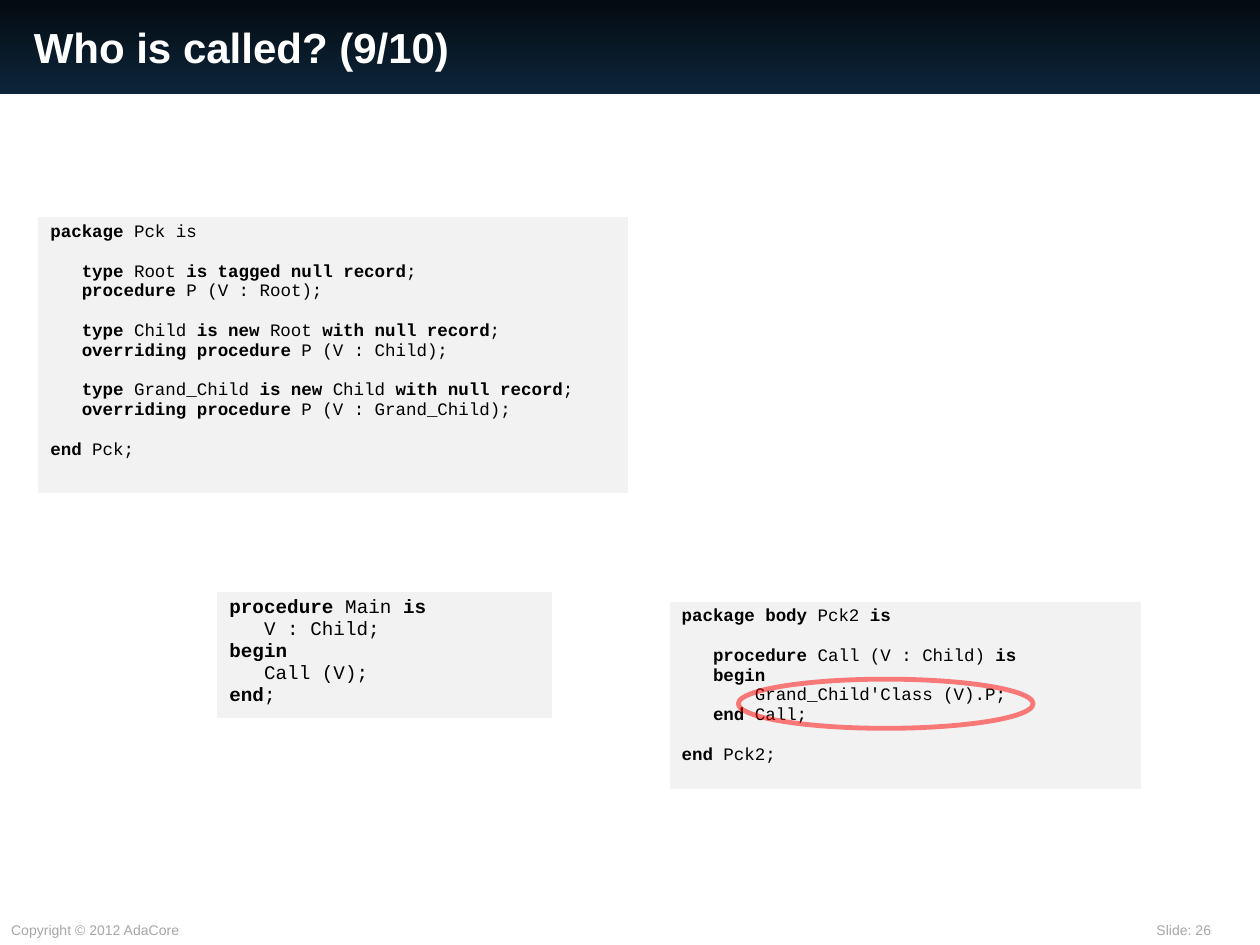
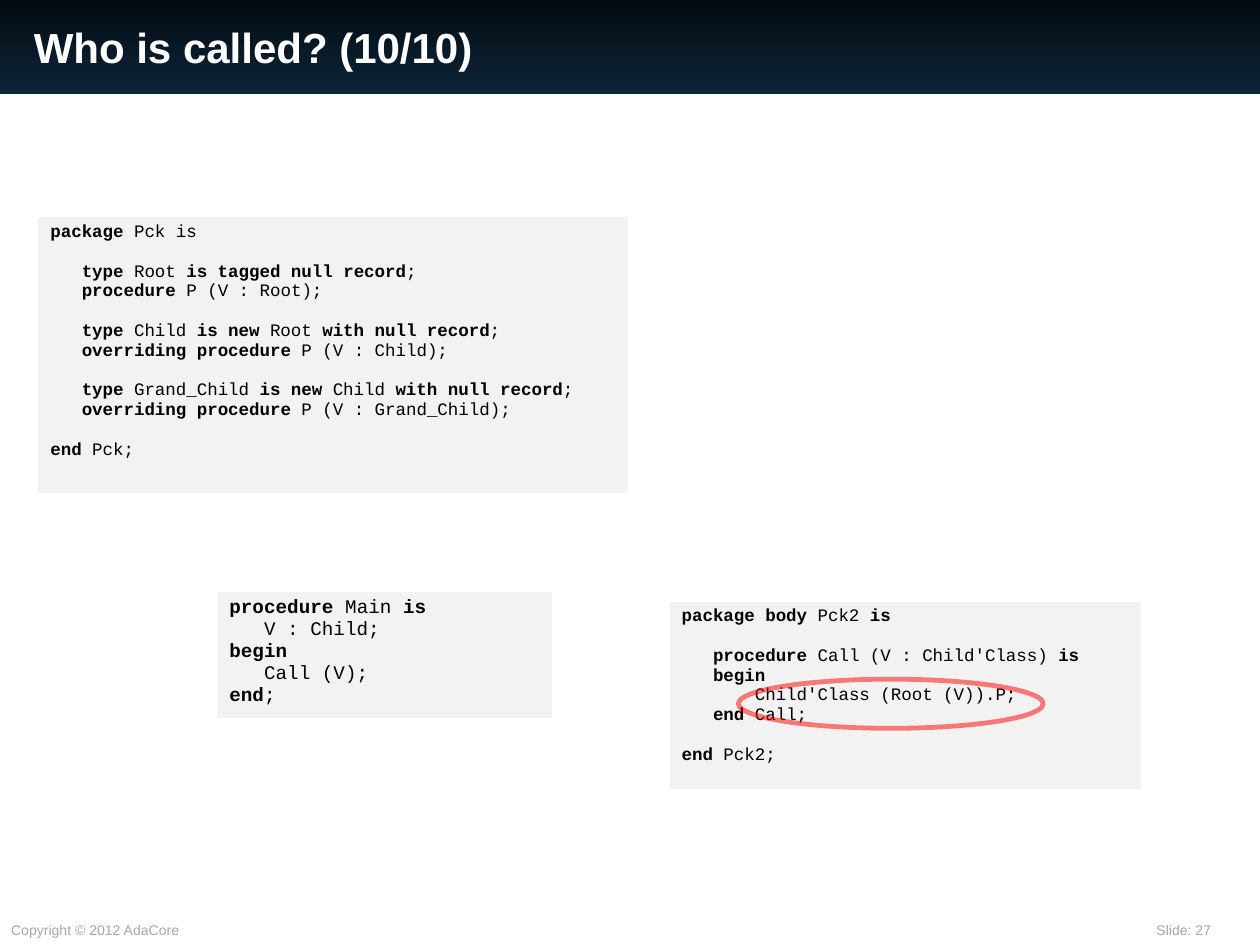
from pptx import Presentation
from pptx.dml.color import RGBColor
from pptx.enum.shapes import MSO_SHAPE as Preset
from pptx.enum.text import MSO_ANCHOR as Anchor
from pptx.util import Inches, Pt
from lxml.etree import SubElement
from pptx.oxml.ns import qn

WHITE = RGBColor(0xFF, 0xFF, 0xFF)
BLACK = RGBColor(0x00, 0x00, 0x00)
RED = RGBColor(0xFF, 0x00, 0x00)
FOOTER_GRAY = RGBColor(0xA6, 0xA6, 0xA6)
CODE_GRAY = RGBColor(0xF2, 0xF2, 0xF2)
BAND_TOP = RGBColor(0x04, 0x0B, 0x11)
BAND_BOTTOM = RGBColor(0x0D, 0x25, 0x3A)

LINE_HEIGHT = 1.133
BORDERS = [("a:lnL", 0.45), ("a:lnR", 0.45), ("a:lnT", 0.45), ("a:lnB", 1.47)]

PACKAGE_CODE = """*package* Pck is

   *type* Root *is tagged null record*;
   *procedure* P (V : Root);

   *type* Child *is new* Root *with null record*;
   *overriding procedure* P (V : Child);

   *type* Grand_Child *is new* Child *with null record*;
   *overriding procedure* P (V : Grand_Child);

*end* Pck;"""

BODY_CODE = """*package body* Pck2 *is*

   *procedure* Call (V : {parameter}) *is*
   *begin*
       {call}
   *end* Call;

*end* Pck2;"""

MAIN_CODE = """*procedure* Main *is*
   V : Child;
*begin*
   Call (V);
*end*;"""

SLIDES = [
    ("Who is called? (9/10)", 26, "Child", "Grand_Child'Class (V).P;", 2.34),
    ("Who is called? (10/10)", 27, "Child'Class", "Child'Class (Root (V)).P;", 2.42),
]


def add_label(slide, text, left, top, width, height, size, color, bold=False):
    box = slide.shapes.add_textbox(Inches(left), Inches(top), Inches(width), Inches(height))
    frame = box.text_frame
    frame.word_wrap = True
    frame.vertical_anchor = Anchor.MIDDLE
    run = frame.paragraphs[0].add_run()
    run.text = text
    run.font.name = "Arial"
    run.font.size = Pt(size)
    run.font.bold = bold
    run.font.color.rgb = color


def add_code(slide, code, left, top, width, height, size):
    table = slide.shapes.add_table(
        1, 1, Inches(left), Inches(top), Inches(width), Inches(height)).table
    table.first_row = False
    table.horz_banding = False
    cell = table.cell(0, 0)
    properties = cell._tc.get_or_add_tcPr()
    for tag, points in BORDERS:
        border = SubElement(properties, qn(tag), w=str(Pt(points)))
        SubElement(SubElement(border, qn("a:solidFill")), qn("a:srgbClr"), val=str(WHITE))
    cell.fill.solid()
    cell.fill.fore_color.rgb = CODE_GRAY

    frame = cell.text_frame
    paragraph = frame.paragraphs[0]
    for block_index, block in enumerate(code.split("\n\n")):
        for line_index, line in enumerate(block.split("\n")):
            if block_index or line_index:
                paragraph = frame.add_paragraph()
            if block_index and not line_index:
                paragraph.space_before = Pt(size * LINE_HEIGHT)
            for part_index, part in enumerate(line.split("*")):
                if part:
                    run = paragraph.add_run()
                    run.text = part
                    run.font.name = "Courier New"
                    run.font.size = Pt(size)
                    run.font.bold = part_index % 2 == 1
                    run.font.color.rgb = BLACK


presentation = Presentation()
presentation.slide_width = Inches(10)
presentation.slide_height = Inches(7.5)

for title, number, parameter, call, ring_width in SLIDES:
    slide = presentation.slides.add_slide(presentation.slide_layouts[6])

    add_label(slide, f"Slide: {number}", 9.08, 7.26, 0.91, 0.24, 8, FOOTER_GRAY)
    add_label(slide, "Copyright © 2012 AdaCore", -0.01, 7.26, 1.57, 0.24, 8, FOOTER_GRAY)

    band = slide.shapes.add_shape(
        Preset.RECTANGLE, Inches(-0.01), Inches(0), Inches(10.01), Inches(0.75))
    band.shadow.inherit = False
    band.line.fill.background()
    band.fill.gradient()
    band.fill.gradient_angle = 270
    for stop, color in zip(band.fill.gradient_stops, (BAND_TOP, BAND_BOTTOM)):
        stop.color.rgb = color
    add_label(slide, title, 0.17, 0.08, 8.75, 0.58, 24, WHITE, bold=True)

    add_code(slide, PACKAGE_CODE, 0.3, 1.72, 4.69, 2.2, 10)
    body_code = BODY_CODE.format(parameter=parameter, call=call)
    add_code(slide, body_code, 5.31, 4.77, 3.75, 1.5, 10)
    add_code(slide, MAIN_CODE, 1.72, 4.69, 2.66, 1.02, 11)

    ring = slide.shapes.add_shape(
        Preset.OVAL, Inches(5.86), Inches(5.39), Inches(ring_width), Inches(0.39))
    ring.shadow.inherit = False
    ring.fill.background()
    ring.line.color.rgb = RED
    ring.line.width = Pt(2.75)
    ring_color = ring.line._ln.find(".//" + qn("a:srgbClr"))
    SubElement(ring_color, qn("a:alpha"), val="49000")

presentation.save("out.pptx")
